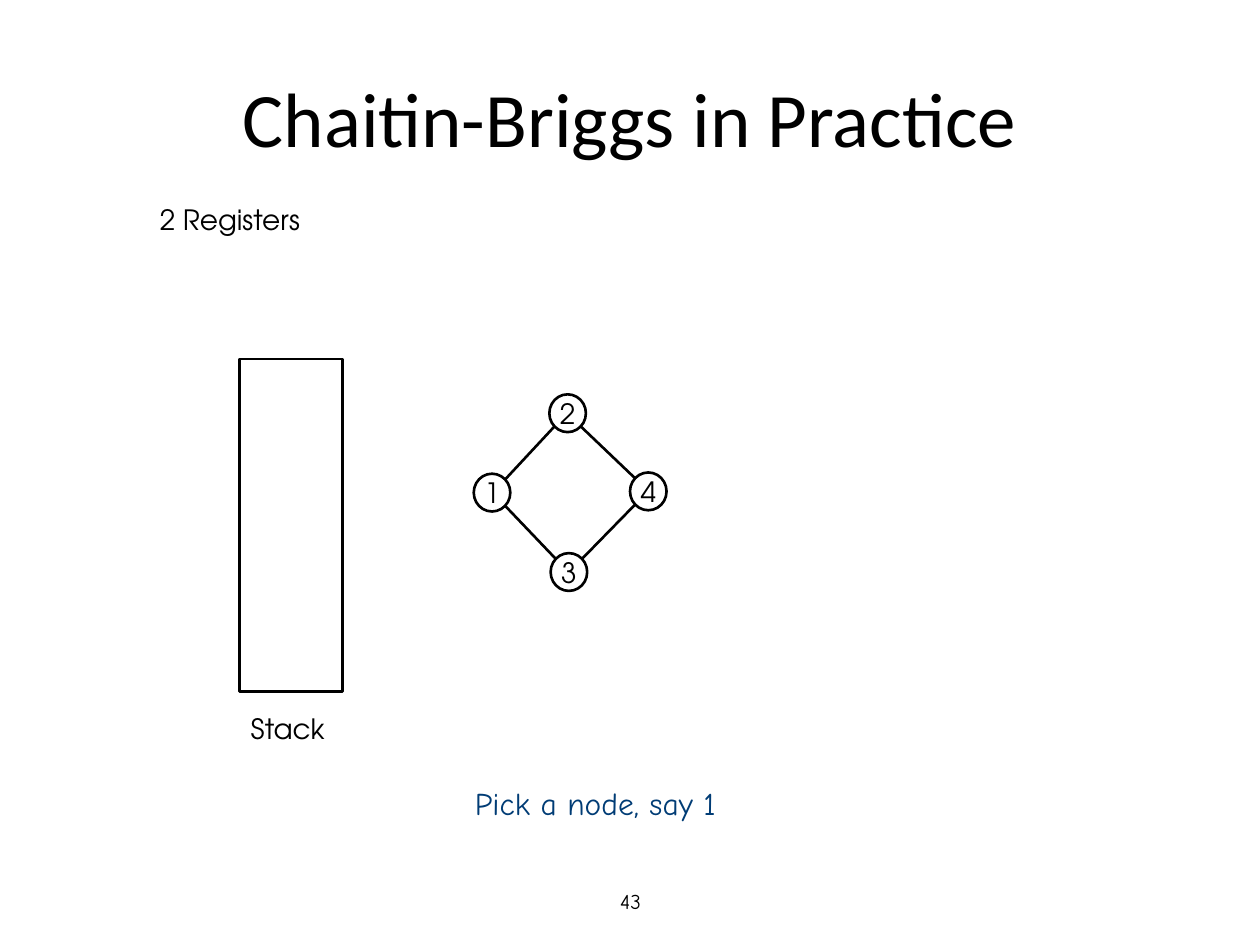
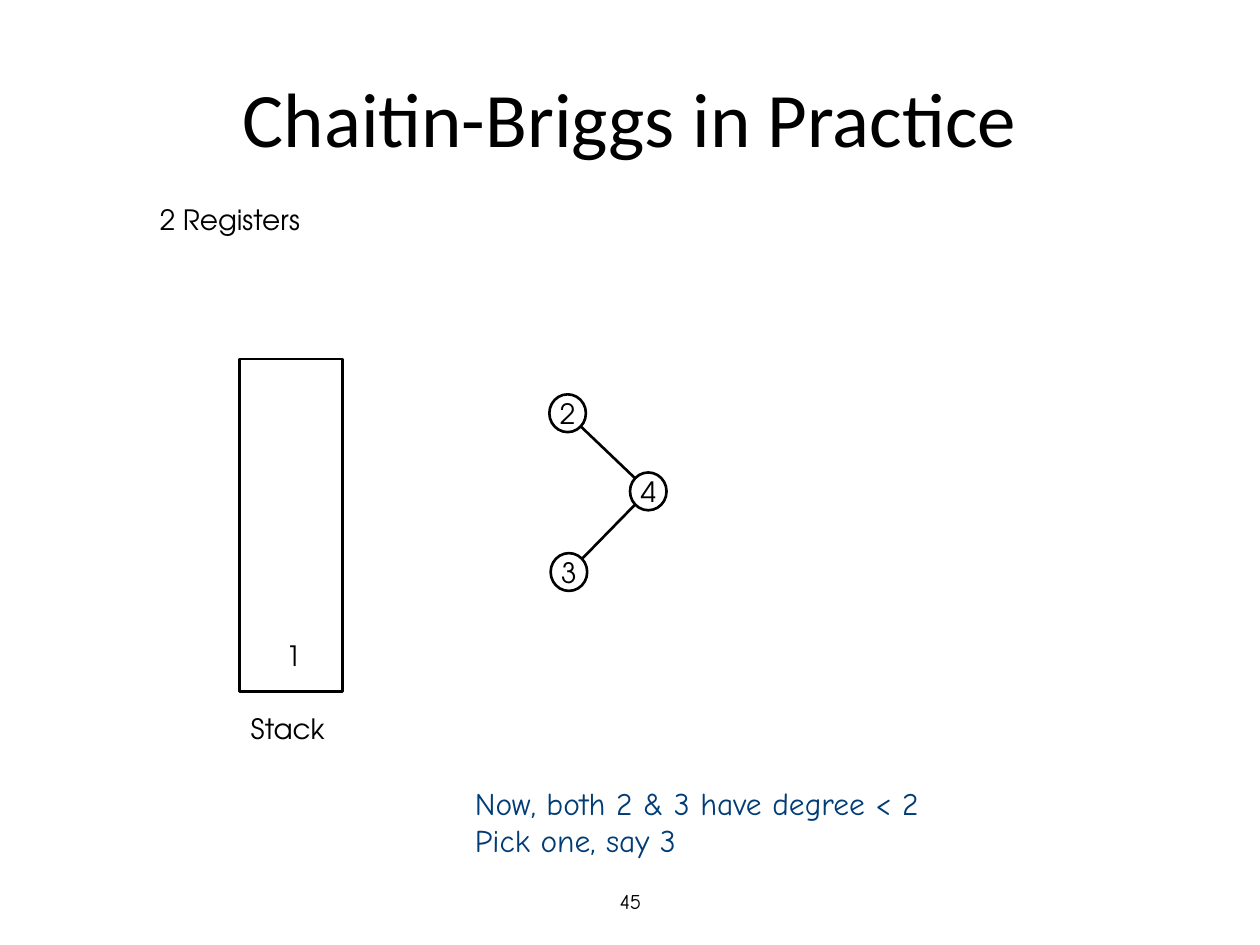
"""Build two slides that step through Chaitin-Briggs colouring of a four-node graph."""

import math
from dataclasses import dataclass

import pptx
import pptx.dml.color
import pptx.enum.shapes
import pptx.enum.text
import pptx.oxml
import pptx.oxml.ns
import pptx.presentation
import pptx.shapes.autoshape
import pptx.slide
import pptx.text.text
import pptx.util
from pptx.util import Inches

Align = pptx.enum.text.PP_ALIGN
Anchor = pptx.enum.text.MSO_ANCHOR
AutoShape = pptx.enum.shapes.MSO_SHAPE
Color = pptx.dml.color.RGBColor


@dataclass(frozen=True)
class TextStyle:
    font: str
    size: int
    color: Color


@dataclass(frozen=True)
class Theme:
    ink: Color = Color(0x00, 0x00, 0x00)
    paper: Color = Color(0xFF, 0xFF, 0xFF)
    line_width: float = 1.5
    title: TextStyle = TextStyle("Calibri", 44, Color(0x00, 0x00, 0x00))
    label: TextStyle = TextStyle("TeX Gyre Adventor", 16, Color(0x00, 0x00, 0x00))
    comment: TextStyle = TextStyle("Comic Neue", 18, Color(0x00, 0x3C, 0x75))
    number: TextStyle = TextStyle("Comic Neue", 12, Color(0x00, 0x00, 0x00))


@dataclass(frozen=True)
class Box:
    left: float
    top: float
    width: float
    height: float

    def lengths(self) -> tuple[int, int, int, int]:
        return Inches(self.left), Inches(self.top), Inches(self.width), Inches(self.height)


@dataclass(frozen=True)
class Node:
    name: str
    left: float
    top: float

    def box(self) -> Box:
        return Box(self.left, self.top, 0.29, 0.3)

    def center(self) -> tuple[float, float]:
        box = self.box()
        return box.left + box.width / 2, box.top + box.height / 2


@dataclass(frozen=True)
class Step:
    number: str
    node_names: str
    stack: tuple[str, ...]
    comment: tuple[str, ...]


THEME = Theme()
TITLE = "Chaitin-Briggs in Practice"
STACK_BOX = Box(1.9, 2.85, 0.82, 2.64)
EDGE_INSET = 0.1
NODES = (Node("4", 5, 3.75), Node("2", 4.36, 3.13), Node("1", 3.76, 3.76), Node("3", 4.37, 4.39))
EDGES = ("24", "21", "13", "43")
STEPS = (
    Step("43", "1234", (), ("Pick a node, say 1",)),
    Step("45", "234", ("1",), ("Now, both 2 & 3 have degree < 2", "Pick one, say 3")),
)


def write(frame: pptx.text.text.TextFrame, lines: tuple[str, ...], style: TextStyle,
          align: Align = Align.LEFT) -> None:
    frame.text = "\n".join(lines)
    for paragraph in frame.paragraphs:
        paragraph.alignment = align
        paragraph.space_before = pptx.util.Pt(0)
        paragraph.font.name = style.font
        paragraph.font.size = pptx.util.Pt(style.size)
        paragraph.font.color.rgb = style.color


def add_text(slide: pptx.slide.Slide, box: Box, lines: tuple[str, ...], style: TextStyle,
             wrap: bool = False) -> None:
    frame = slide.shapes.add_textbox(*box.lengths()).text_frame
    frame.word_wrap = wrap
    frame.auto_size = pptx.enum.text.MSO_AUTO_SIZE.SHAPE_TO_FIT_TEXT
    write(frame, lines, style)


def add_outline(slide: pptx.slide.Slide, kind: AutoShape, box: Box) -> pptx.shapes.autoshape.Shape:
    shape = slide.shapes.add_shape(kind, *box.lengths())
    shape.shadow.inherit = False
    shape.fill.background()
    shape.line.color.rgb = THEME.ink
    shape.line.width = pptx.util.Pt(THEME.line_width)
    return shape


def add_node(slide: pptx.slide.Slide, node: Node) -> None:
    frame = add_outline(slide, AutoShape.OVAL, node.box()).text_frame
    frame.word_wrap = False
    frame.vertical_anchor = Anchor.MIDDLE
    write(frame, (node.name,), THEME.label, Align.CENTER)


def add_edge(slide: pptx.slide.Slide, start: Node, end: Node) -> None:
    (start_x, start_y), (end_x, end_y) = start.center(), end.center()
    inset_x = math.copysign(EDGE_INSET, end_x - start_x)
    inset_y = math.copysign(EDGE_INSET, end_y - start_y)
    connector = slide.shapes.add_connector(
        pptx.enum.shapes.MSO_CONNECTOR.STRAIGHT,
        Inches(start_x + inset_x), Inches(start_y + inset_y),
        Inches(end_x - inset_x), Inches(end_y - inset_y))
    connector.line.color.rgb = THEME.ink
    connector.line.width = pptx.util.Pt(THEME.line_width)
    properties = connector.element.find(pptx.oxml.ns.qn("p:spPr"))
    properties.append(pptx.oxml.parse_xml(f"<a:effectLst {pptx.oxml.ns.nsdecls('a')}/>"))


def add_frame(slide: pptx.slide.Slide, number: str) -> None:
    slide.background.fill.solid()
    slide.background.fill.fore_color.rgb = THEME.paper
    title = slide.shapes.title
    title.left, title.top, title.width, title.height = Box(0.5, 0.3, 9, 1.25).lengths()
    title.text_frame.vertical_anchor = Anchor.MIDDLE
    write(title.text_frame, (TITLE,), THEME.title, Align.CENTER)
    footer = slide.shapes.add_textbox(*Box(3.42, 6.95, 3.17, 0.4).lengths()).text_frame
    footer.word_wrap = True
    footer.vertical_anchor = Anchor.MIDDLE
    write(footer, (number,), THEME.number, Align.CENTER)


def add_graph(slide: pptx.slide.Slide, node_names: str) -> None:
    nodes = {node.name: node for node in NODES if node.name in node_names}
    for node in nodes.values():
        add_node(slide, node)
    for start, end in EDGES:
        if start in nodes and end in nodes:
            add_edge(slide, nodes[start], nodes[end])


def add_stack(slide: pptx.slide.Slide, entries: tuple[str, ...]) -> None:
    add_outline(slide, AutoShape.RECTANGLE, STACK_BOX)
    add_text(slide, Box(1.89, 5.6, 0.82, 0.37), ("Stack",), THEME.label)
    for level, entry in enumerate(entries):
        add_text(slide, Box(2.17, 5.02 - 0.37 * level, 0.33, 0.37), (entry,), THEME.label)


def add_step(presentation: pptx.presentation.Presentation, step: Step) -> None:
    slide = presentation.slides.add_slide(presentation.slide_layouts.get_by_name("Title Only"))
    add_frame(slide, step.number)
    add_graph(slide, step.node_names)
    add_text(slide, Box(1.17, 1.56, 1.43, 0.37), ("2 Registers",), THEME.label)
    add_stack(slide, step.stack)
    comment_height = 0.09 + 0.31 * len(step.comment)
    add_text(slide, Box(3.67, 6.17, 4.25, comment_height), step.comment, THEME.comment, wrap=True)


def main() -> None:
    presentation = pptx.Presentation()
    presentation.slide_width, presentation.slide_height = Inches(10), Inches(7.5)
    for step in STEPS:
        add_step(presentation, step)
    presentation.save("out.pptx")


if __name__ == "__main__":
    main()
